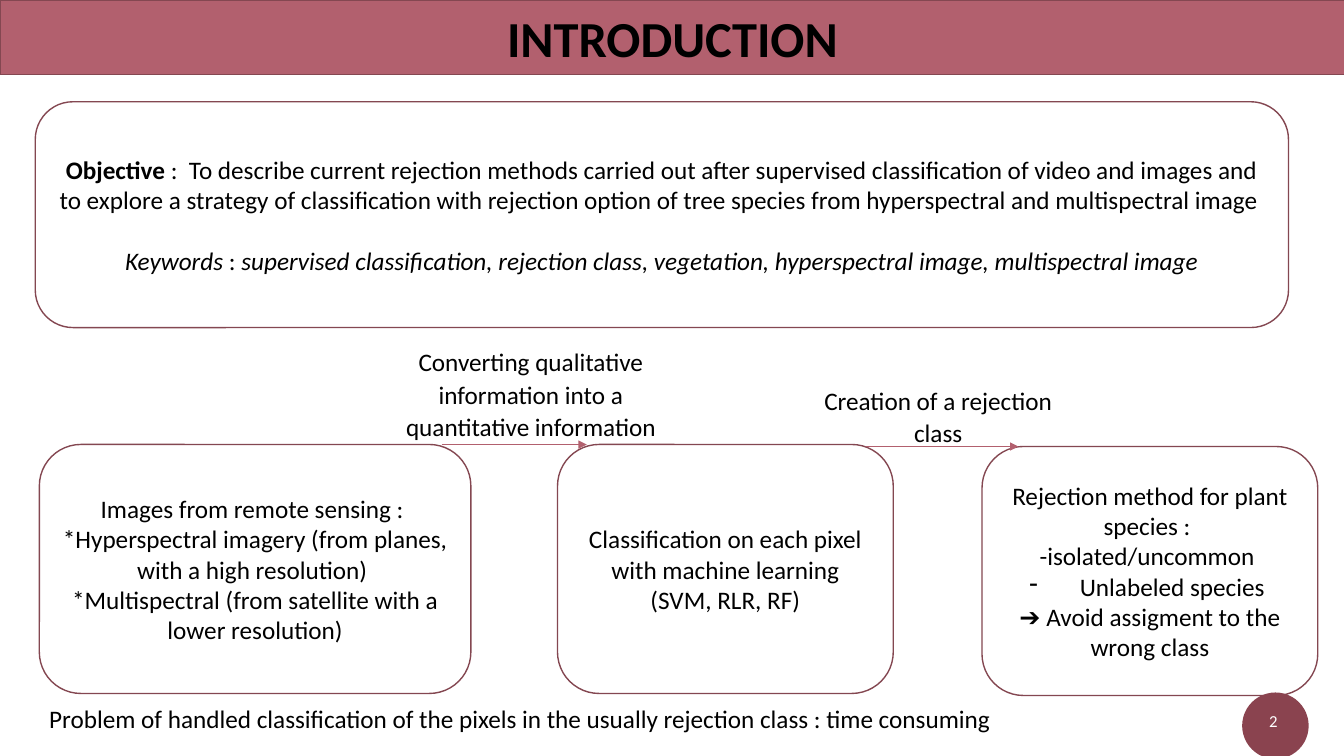
from lxml.etree import SubElement
from pptx import Presentation
from pptx.dml.color import RGBColor
from pptx.enum.shapes import MSO_CONNECTOR as Link, MSO_SHAPE as Kind
from pptx.enum.text import MSO_ANCHOR as Anchor, MSO_AUTO_SIZE as Fit, PP_ALIGN as Align
from pptx.oxml.ns import qn
from pptx.util import Pt

PX = 9144  # 100 px to the inch
ROSE, WINE, PLUM = "B2606E", "844751", "8A434F"


def paint(shape, fill=None, line=None):
    if fill:
        shape.fill.solid()
        shape.fill.fore_color.rgb = RGBColor.from_string(fill)
    else:
        shape.fill.background()
    if line:
        shape.line.color.rgb = RGBColor.from_string(line)
        shape.line.width = Pt(1)
    else:
        shape.line.fill.background()


def write(shape, paras, size=18, color="000000", align=Align.CENTER,
          anchor=Anchor.MIDDLE, lead=None, after=0, inset=None):
    """Each paragraph is a list of (text, style), where style is "", "b" or "i"."""
    frame = shape.text_frame
    frame.word_wrap = True
    frame.auto_size = Fit.NONE
    frame.vertical_anchor = anchor
    if inset is not None:
        frame.margin_left = frame.margin_right = inset
        frame.margin_top = frame.margin_bottom = inset
    for n, runs in enumerate(paras):
        para = frame.add_paragraph() if n else frame.paragraphs[0]
        para.alignment = align
        para.space_after = Pt(after)
        if lead:
            para.line_spacing = lead
        for text, style in runs:
            run = para.add_run()
            run.text = text
            font = run.font
            font.name, font.size = "Calibri", Pt(size)
            font.bold, font.italic = style == "b", style == "i"
            font.color.rgb = RGBColor.from_string(color)


deck = Presentation()
deck.slide_width, deck.slide_height = 1333 * PX, 750 * PX
slide = deck.slides.add_slide(deck.slide_layouts[5])
shapes = slide.shapes

# Title band
title = shapes.title
title.left, title.top, title.width, title.height = 0, 0, 1334 * PX, 74 * PX
paint(title, ROSE, WINE)
write(title, [[("INTRODUCTION", "b")]], size=36)

# Objective and the three steps
goal = [
    [("Objective", "b"),
     (" :  To describe current rejection methods carried out after supervised "
      "classification of video and images and to explore a strategy of classification "
      "with rejection option of tree species from hyperspectral and multispectral image ", "")],
    [("Keywords", "i"), (" : ", ""),
     ("supervised classification, rejection class, vegetation, hyperspectral image, "
      "multispectral image", "i")],
]
source = [
    [("Images from remote sensing : ", "")],
    [("*Hyperspectral imagery (from planes, with a high resolution) ", "")],
    [("*Multispectral (from satellite with a lower resolution)", "")],
]
sort = [[("Classification on each pixel with machine learning (SVM, RLR, RF)", "")]]
reject = [
    [("Rejection method for plant species : ", "")],
    [("-isolated/uncommon ", "")],
    [("Unlabeled species ", "")],
    [("➔ Avoid assigment to the wrong class", "")],
]
cards = []
for x, y, w, h, paras in [
    (35, 101, 1243, 224, goal),
    (39, 441, 428, 247, source),
    (553, 441, 333, 247, sort),
    (974, 443, 333, 247, reject),
]:
    card = shapes.add_shape(Kind.ROUNDED_RECTANGLE, x * PX, y * PX, w * PX, h * PX)
    card.shadow.inherit = False
    paint(card, line=WINE)
    write(card, paras)
    cards.append(card)

cards[0].text_frame.paragraphs[1].space_before = Pt(22)
props = cards[3].text_frame.paragraphs[2]._p.get_or_add_pPr()
props.set("marL", str(50 * PX))
props.set("indent", str(-50 * PX))
SubElement(props, qn("a:buChar"), char="-")

# Arrows between the steps
for x, end, y in [(438, 582, 441), (859, 1010, 443)]:
    arrow = shapes.add_connector(Link.STRAIGHT, x * PX, y * PX, end * PX, y * PX)
    arrow.line.color.rgb = RGBColor.from_string(ROSE)
    arrow.line.width = Pt(0.5)
    SubElement(arrow.line._get_or_add_ln(), qn("a:tailEnd"), type="triangle")
    SubElement(arrow._element.spPr, qn("a:effectLst"))

# Page badge
badge = shapes.add_shape(Kind.OVAL, 1232 * PX, 687 * PX, 66 * PX, 66 * PX)
badge.shadow.inherit = False
paint(badge, PLUM)

# Arrow labels, page number and closing remark
label = dict(anchor=Anchor.TOP, lead=1.07, after=8)
for x, y, w, h, text, form in [
    (386, 337, 281, 106,
     "Converting qualitative information into a quantitative information", label),
    (790, 375, 281, 73, "Creation of a rejection class", label),
    (1230, 694, 66, 43, "2", dict(size=12, color="FFFFFF", inset=0)),
    (39, 693, 1157, 40,
     "Problem of handled classification of the pixels in the usually rejection class : "
     "time consuming", dict(align=Align.LEFT, anchor=Anchor.TOP)),
]:
    box = shapes.add_textbox(x * PX, y * PX, w * PX, h * PX)
    write(box, [[(text, "")]], **form)

deck.save("out.pptx")
